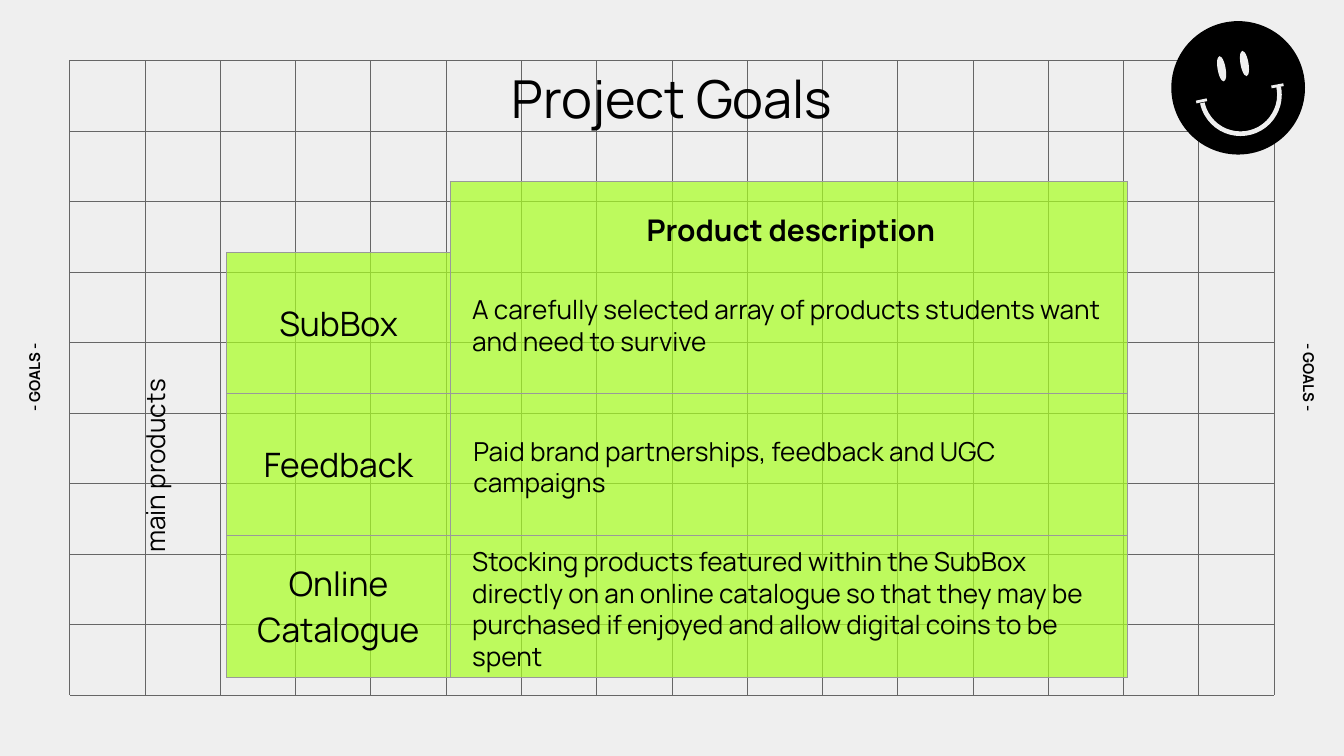
from dataclasses import dataclass

from lxml.etree import SubElement
from pptx import Presentation
from pptx.dml.color import RGBColor
from pptx.enum.shapes import MSO_CONNECTOR as CONN, MSO_SHAPE as SHAPE
from pptx.enum.text import MSO_ANCHOR as ANCHOR, PP_ALIGN as ALIGN
from pptx.oxml.ns import qn
from pptx.util import Inches, Pt

W = 10
H = W * 9 / 16
FONT = "Manrope"
COLORS = {"paper": "EFEFEF", "grid": "666666", "border": "999999",
          "lime": "A9FF22", "ink": "000000"}


@dataclass
class Box:
    """A frame in percent of the slide's width and height."""
    left: float
    top: float
    width: float
    height: float
    rotation: float = 0

    def emu(self) -> tuple:
        return px(self.left), py(self.top), px(self.width), py(self.height)


@dataclass
class Product:
    name: str
    description: str
    indent: float = 0


PRODUCTS = [
    Product("SubBox", "A carefully selected array of products students want "
            "and need to survive"),
    Product("Feedback", "Paid brand partnerships, feedback and UGC campaigns", 0.01),
    Product("Online Catalogue", "Stocking products featured within the SubBox "
            "directly on an online catalogue so that they may be purchased "
            "if enjoyed and allow digital coins to be spent"),
]


def px(share: float) -> int:
    return Inches(W * share / 100)


def py(share: float) -> int:
    return Inches(H * share / 100)


def rgb(name: str) -> RGBColor:
    return RGBColor.from_string(COLORS[name])


def write(tf, text: str, *, size: float, bold: bool = False,
          align=ALIGN.CENTER, indent: float = 0) -> None:
    p = tf.paragraphs[0]
    p.alignment, p.line_spacing = align, 1.0
    if indent:
        p._p.get_or_add_pPr().set("marL", str(Inches(indent)))
    r = p.add_run()
    r.text = text
    r.font.name, r.font.size, r.font.bold = FONT, Pt(size), bold
    r.font.color.rgb = rgb("ink")


def add_text(slide, box: Box, text: str, *, inset: float = 0.1,
             anchor=ANCHOR.MIDDLE, **style) -> None:
    sp = slide.shapes.add_textbox(*box.emu())
    sp.rotation = box.rotation
    tf = sp.text_frame
    tf.word_wrap, tf.vertical_anchor = True, anchor
    tf.margin_left = tf.margin_right = Inches(0.1)
    tf.margin_top = tf.margin_bottom = Inches(inset)
    write(tf, text, **style)


def add_line(slide, x1: float, y1: float, x2: float, y2: float,
             color: str, width: float) -> None:
    line = slide.shapes.add_connector(CONN.STRAIGHT, px(x1), py(y1), px(x2), py(y2))
    line.line.color.rgb, line.line.width = rgb(color), Pt(width)
    SubElement(line._element.spPr, qn("a:effectLst"))


def add_oval(slide, box: Box, color: str) -> None:
    sp = slide.shapes.add_shape(SHAPE.OVAL, *box.emu())
    sp.shadow.inherit = False
    sp.rotation = box.rotation
    sp.fill.solid()
    sp.fill.fore_color.rgb = rgb(color)
    sp.line.fill.background()


def add_grid(slide, box: Box, columns: int, rows: int) -> None:
    right, bottom = box.left + box.width, box.top + box.height
    for i in range(columns + 1):
        x = box.left + box.width * i / columns
        add_line(slide, x, box.top, x, bottom, "grid", 0.5)
    for i in range(rows + 1):
        y = box.top + box.height * i / rows
        add_line(slide, box.left, y, right, y, "grid", 0.5)


def style_cell(cell, sides: str, filled: bool) -> None:
    tc_pr = cell._tc.get_or_add_tcPr()
    for side in "LRTB":
        ln = SubElement(tc_pr, qn(f"a:ln{side}"), w=str(Pt(0.75)))
        if side in sides:
            fill = SubElement(ln, qn("a:solidFill"))
            SubElement(fill, qn("a:srgbClr"), val=COLORS["border"])
        else:
            SubElement(ln, qn("a:noFill"))
    if not filled:
        cell.fill.background()
        return
    cell.fill.solid()
    cell.fill.fore_color.rgb = rgb("lime")
    color = tc_pr.find(qn("a:solidFill")).find(qn("a:srgbClr"))
    SubElement(color, qn("a:alpha"), val="71000")


def add_product_table(slide, box: Box, columns: list, rows: list) -> None:
    table = slide.shapes.add_table(len(rows), len(columns), *box.emu()).table
    table.first_row = table.horz_banding = False
    for col, width in zip(table.columns, columns):
        col.width = px(width)
    for row, height in zip(table.rows, rows):
        row.height = py(height)
    for i in range(len(rows)):
        for j in range(len(columns)):
            empty = i == j == 0
            style_cell(table.cell(i, j), "RB" if empty else "LRTB", not empty)
    # The description heading shares its cell with the first product
    table.cell(0, 1).merge(table.cell(1, 1))
    for i, product in enumerate(PRODUCTS, start=1):
        cell = table.cell(i, 0)
        cell.vertical_anchor = ANCHOR.MIDDLE
        cell.margin_left = cell.margin_right = Inches(0.1)
        cell.margin_top = cell.margin_bottom = Inches(0.1)
        write(cell.text_frame, product.name, size=18)


def add_smiley(slide) -> None:
    add_oval(slide, Box(87.15, 2.8, 9.95, 17.65), "ink")
    for left, top in ((90.6, 7.4), (92.3, 6.7)):
        add_oval(slide, Box(left, top, 0.6, 3.4, -10), "paper")
    smile = slide.shapes.add_shape(SHAPE.ARC, *Box(89.4, 7.4, 5.8, 10.3).emu())
    smile.shadow.inherit = False
    # Arc angles count 60000 units a degree, adjustments 100000 units each
    smile.adjustments[0], smile.adjustments[1] = 348 * 0.6, 168 * 0.6
    smile.fill.background()
    smile.line.color.rgb, smile.line.width = rgb("paper"), Pt(2.5)
    for ends in ((89, 13.5, 89.8, 13.2), (94.6, 11.5, 95.5, 11.2)):
        add_line(slide, *ends, "paper", 1.5)


def main() -> None:
    prs = Presentation()
    prs.slide_width, prs.slide_height = Inches(W), Inches(H)
    slide = prs.slides.add_slide(prs.slide_layouts[6])
    slide.background.fill.solid()
    slide.background.fill.fore_color.rgb = rgb("paper")

    # Background grid and side labels
    add_grid(slide, Box(5.2, 8, 89.6, 84), columns=16, rows=9)
    for left, rotation in ((75.2, 90), (-19.65, 270)):
        add_text(slide, Box(left, 45.4, 44.4, 9.1, rotation), "- GOALS -",
                 size=8, bold=True)

    # Product table and descriptions
    add_product_table(slide, Box(16.87, 24, 67.03, 65.6), columns=[16.63, 50.4],
                      rows=[9.4, 18.7, 18.7, 18.8])
    for i, product in enumerate(PRODUCTS):
        add_text(slide, Box(34.15, 34.9 + 18.75 * i, 49, 16.2), product.description,
                 size=14, align=ALIGN.LEFT, indent=product.indent)

    # Smiley and headings
    add_smiley(slide)
    add_text(slide, Box(-4, 58.35, 31.4, 6.6, 270), "main products",
             size=14, inset=0.05, anchor=ANCHOR.TOP)
    add_text(slide, Box(15.75, 5.45, 68.5, 14.9), "Project Goals", size=28)
    add_text(slide, Box(43.95, 22.25, 29.8, 16.2), "Product description",
             size=16, bold=True)

    prs.save("out.pptx")


if __name__ == "__main__":
    main()
